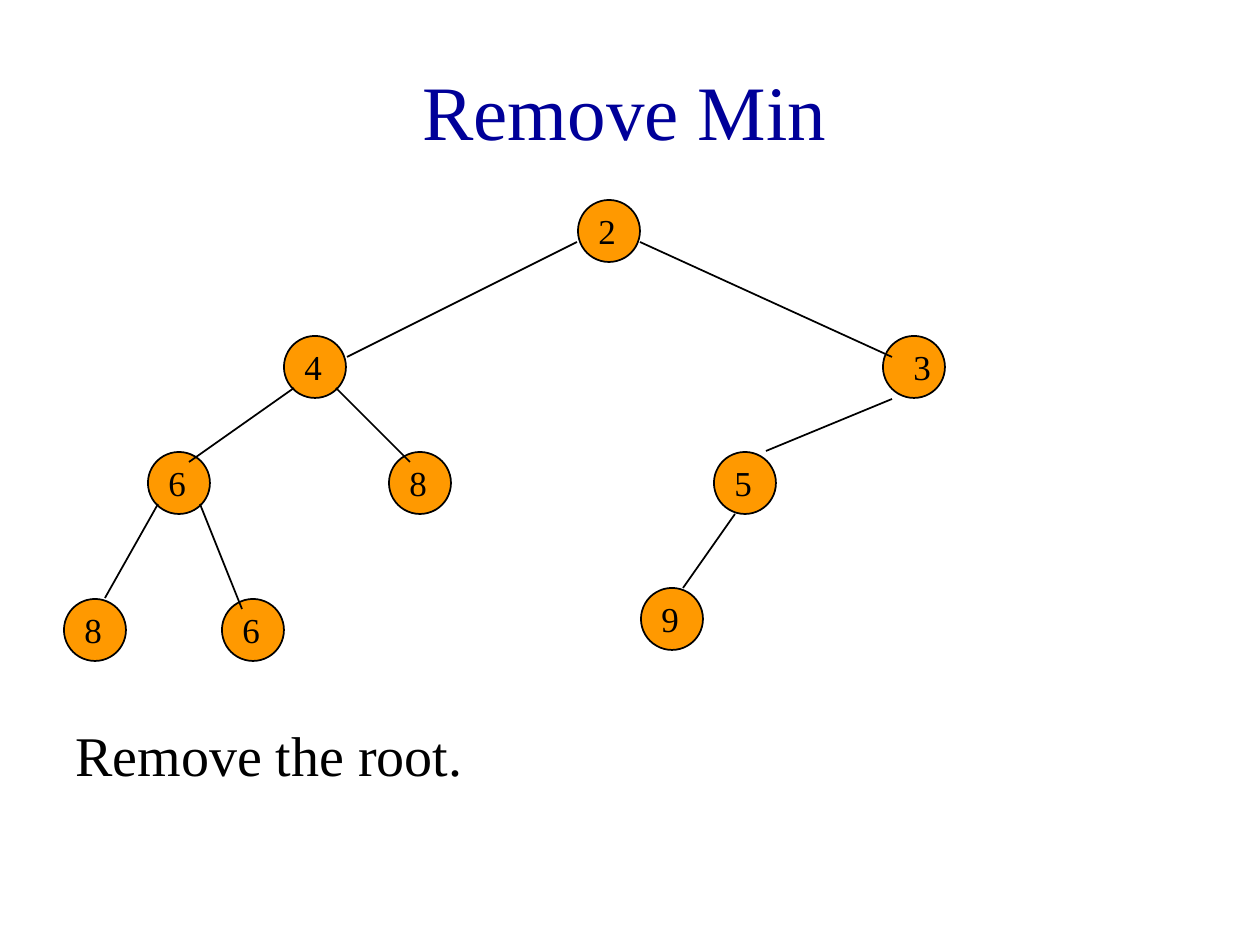
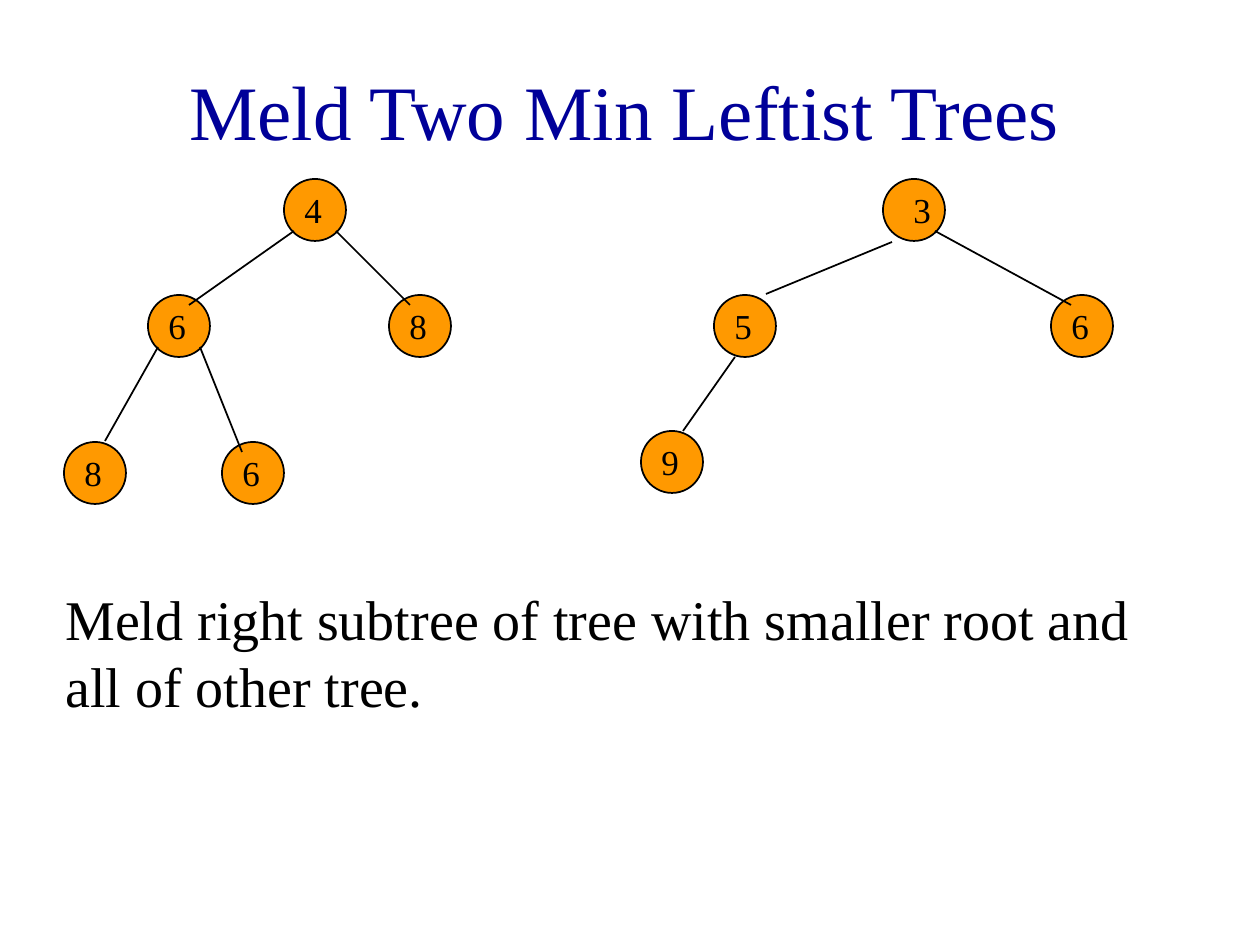
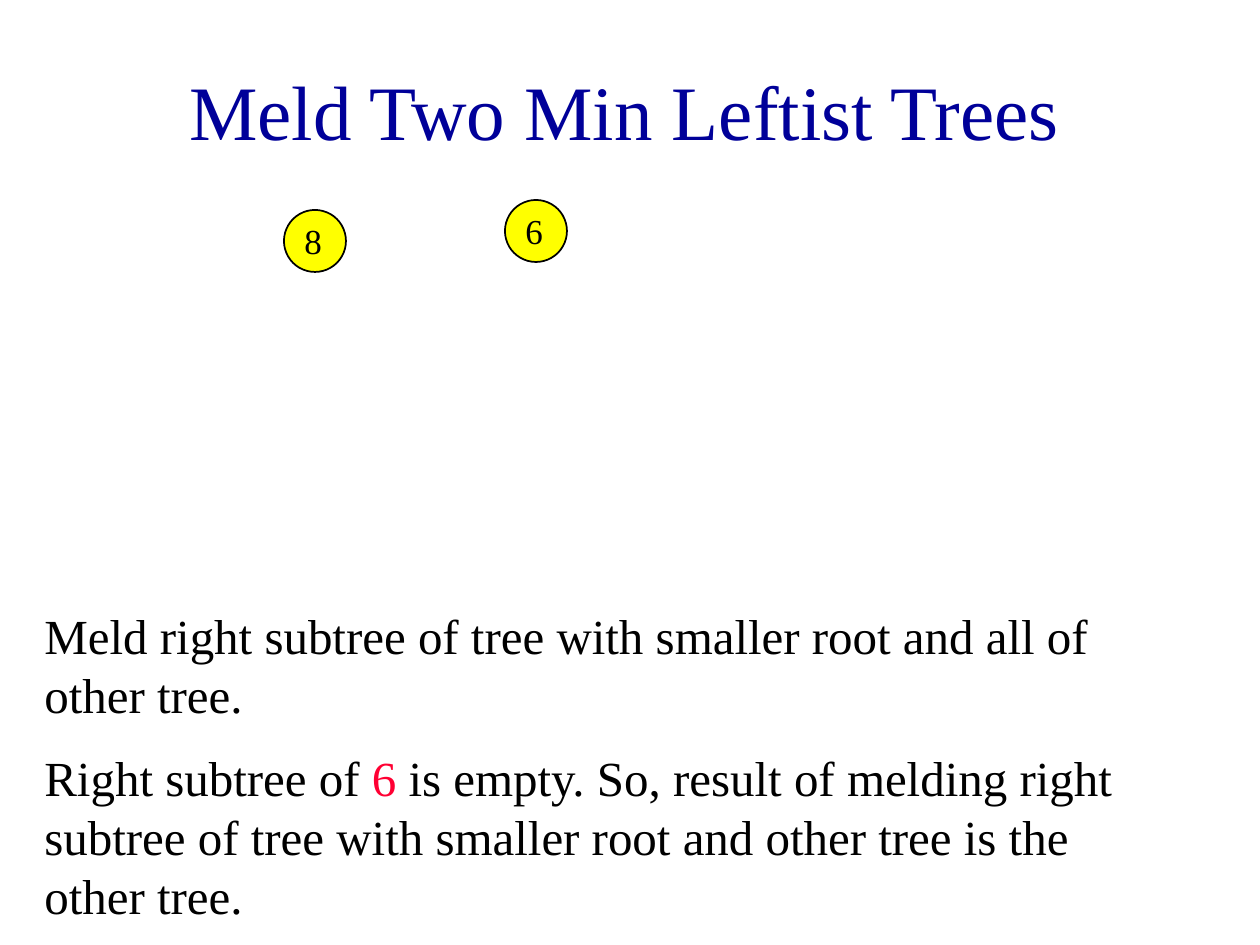
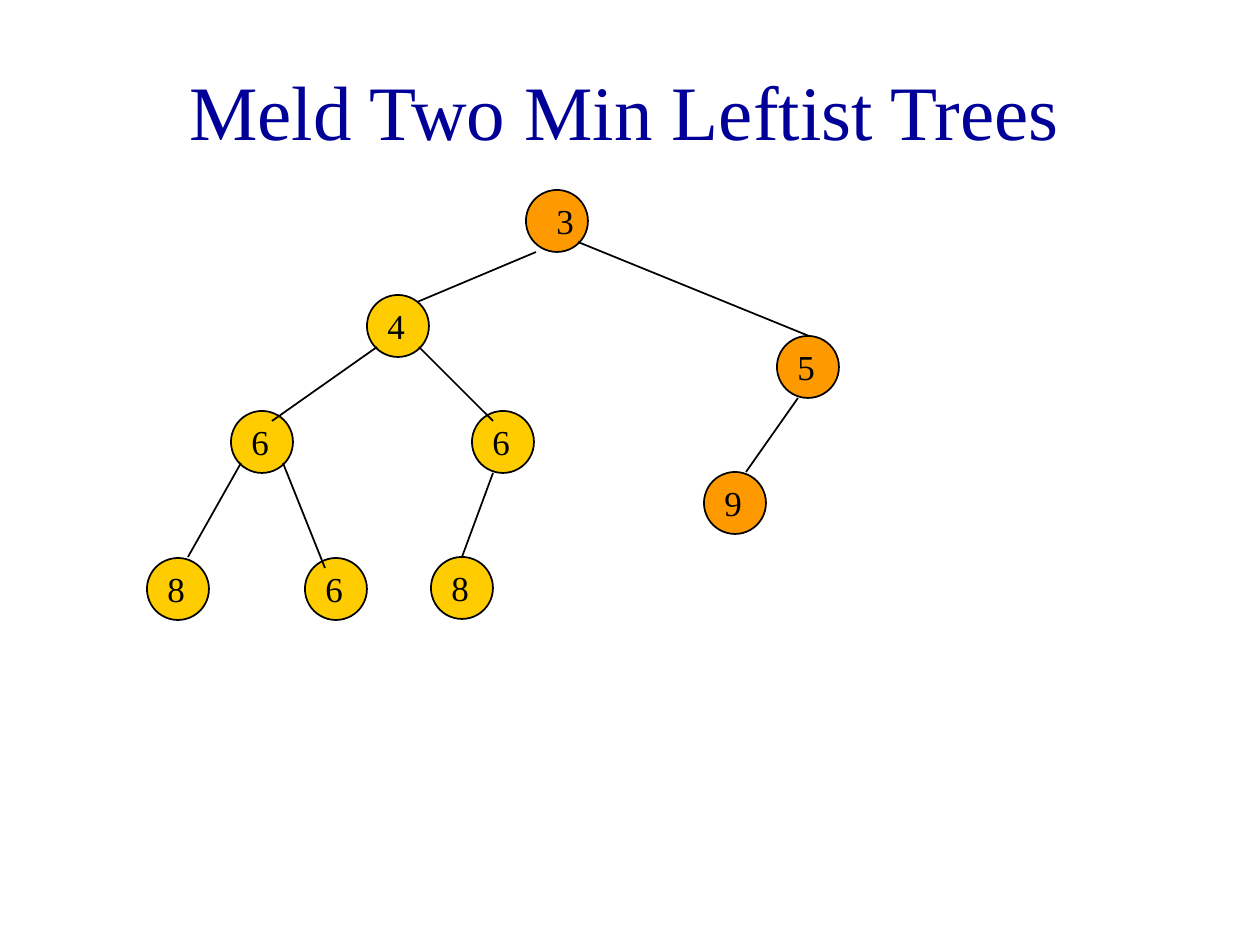
import dataclasses

import pptx
import pptx.dml.color
import pptx.enum.shapes
import pptx.enum.text
import pptx.oxml
import pptx.util

EMU_PER_PIXEL = 914400 / 126


@dataclasses.dataclass(frozen=True)
class Theme:
    """Colours, font and type sizes shared by all slides."""
    font: str = "Times New Roman"
    title: str = "000099"
    ink: str = "000000"
    accent: str = "FF0033"
    orange: str = "FF9900"
    yellow: str = "FFFF00"
    gold: str = "FFCC00"
    title_size: int = 44
    body_size: int = 32
    small_body_size: int = 28
    label_size: int = 20
    line_width: int = 1


@dataclasses.dataclass(frozen=True)
class Node:
    """A tree node: its value, the corner of its circle and its label inset."""
    value: str
    left: int
    top: int
    label_inset: int = 8


@dataclasses.dataclass(frozen=True)
class Tree:
    """Nodes and edges (x1, y1, x2, y2), measured from the tree's corner."""
    nodes: tuple
    edges: tuple = ()


THEME = Theme()
NODE_SIZE = 62
LABEL_SIZE = (43, 54)
LABEL_TOP = 3
WIDE_INSET = 18
SLIDE_SIZE = (1260, 945)
TITLE_BOX = (10, 31, 1229, 158)
MELD_TITLE = "Meld Two Min Leftist Trees"
MELD_RULE = ("Meld right subtree of tree with smaller root "
             "and all of other tree.")

CHAIN_TREE = Tree(
    (Node("5", 73, 0), Node("9", 0, 136)),
    ((94, 62, 42, 136),))
CHAIN_PARENT = Tree((Node("3", 242, 0, WIDE_INSET),), ((251, 63, 125, 115),))
CHAIN_DROP = 116


def four_tree(right_value):
    """Return the tree rooted at 4, with the given value as right child."""
    return Tree(
        (Node("4", 220, 0), Node("6", 84, 116), Node(right_value, 325, 116),
         Node("8", 0, 263), Node("6", 158, 263)),
        ((230, 52, 125, 126), (272, 52, 346, 126),
         (94, 168, 41, 262), (136, 168, 178, 273)))


def pixels(length):
    """Turn picture pixels into EMU."""
    return pptx.util.Emu(round(length * EMU_PER_PIXEL))


def color(value):
    """Turn a hex string into a colour."""
    return pptx.dml.color.RGBColor.from_string(value)


def add_run(paragraph, text, size, ink):
    """Append one formatted run."""
    run = paragraph.add_run()
    run.text = text
    run.font.name = THEME.font
    run.font.size = pptx.util.Pt(size)
    run.font.color.rgb = color(ink)


def add_text_box(slide, box, wrap=True):
    """Add an empty text box and return its text frame."""
    frame = slide.shapes.add_textbox(*map(pixels, box)).text_frame
    frame.word_wrap = wrap
    frame.auto_size = pptx.enum.text.MSO_AUTO_SIZE.SHAPE_TO_FIT_TEXT
    return frame


def add_title(slide, box, text):
    """Place the centred slide title."""
    frame = add_text_box(slide, box)
    frame.auto_size = pptx.enum.text.MSO_AUTO_SIZE.NONE
    frame.vertical_anchor = pptx.enum.text.MSO_ANCHOR.MIDDLE
    paragraph = frame.paragraphs[0]
    paragraph.alignment = pptx.enum.text.PP_ALIGN.CENTER
    add_run(paragraph, text, THEME.title_size, THEME.title)


def add_body(slide, box, paragraphs, size):
    """Place body paragraphs, each a list of (text, colour) runs."""
    frame = add_text_box(slide, box)
    for index, runs in enumerate(paragraphs):
        paragraph = frame.add_paragraph() if index else frame.paragraphs[0]
        paragraph.space_before = pptx.util.Pt(size / 2)
        for text, ink in runs:
            add_run(paragraph, text, size, ink)


def add_circle(slide, left, top, fill):
    """Place the circle of one node."""
    circle = slide.shapes.add_shape(
        pptx.enum.shapes.MSO_SHAPE.OVAL,
        *map(pixels, (left, top, NODE_SIZE, NODE_SIZE)))
    circle.shadow.inherit = False
    circle.fill.solid()
    circle.fill.fore_color.rgb = color(fill)
    circle.line.color.rgb = color(THEME.ink)
    circle.line.width = pptx.util.Pt(THEME.line_width)


def add_edge(slide, left, top, edge):
    """Place one edge, measured from the given corner."""
    x1, y1, x2, y2 = edge
    connector = slide.shapes.add_connector(
        pptx.enum.shapes.MSO_CONNECTOR.STRAIGHT,
        *map(pixels, (left + x1, top + y1, left + x2, top + y2)))
    connector.line.color.rgb = color(THEME.ink)
    connector.line.width = pptx.util.Pt(THEME.line_width)
    properties = connector.line._get_or_add_ln().getparent()
    properties.append(pptx.oxml.parse_xml(
        '<a:effectLst xmlns:a='
        '"http://schemas.openxmlformats.org/drawingml/2006/main"/>'))


def add_tree(slide, left, top, tree, fill=THEME.orange):
    """Place a tree at a corner: circles, then edges, then labels."""
    for node in tree.nodes:
        add_circle(slide, left + node.left, top + node.top, fill)
    for edge in tree.edges:
        add_edge(slide, left, top, edge)
    for node in tree.nodes:
        box = (left + node.left + node.label_inset,
               top + node.top + LABEL_TOP, *LABEL_SIZE)
        frame = add_text_box(slide, box, wrap=False)
        add_run(frame.paragraphs[0], node.value, THEME.label_size, THEME.ink)


def add_both_subtrees(slide, top):
    """Place the trees rooted at 4 and 3 side by side."""
    add_tree(slide, 64, top, four_tree("8"))
    add_tree(slide, 641, top, CHAIN_PARENT)
    add_tree(slide, 641, top + CHAIN_DROP, CHAIN_TREE)


def new_slide(presentation, title):
    """Add a blank slide with its title."""
    slide = presentation.slides.add_slide(presentation.slide_layouts[6])
    add_title(slide, TITLE_BOX, title)
    return slide


def build_remove_min(presentation):
    """Slide on removing the root of a tree."""
    slide = new_slide(presentation, "Remove Min")
    add_both_subtrees(slide, 336)
    add_tree(slide, 578, 200, Tree(
        (Node("2", 0, 0),), ((-1, 42, -231, 157), (62, 42, 314, 157))))
    add_body(slide, (63, 714, 998, 79),
             [[("Remove the root.", THEME.ink)]], THEME.body_size)


def build_meld_rule(presentation):
    """Slide stating the meld rule for two trees."""
    slide = new_slide(presentation, MELD_TITLE)
    add_both_subtrees(slide, 179)
    add_tree(slide, 1051, 295, Tree(
        (Node("6", 0, 0),), ((-116, -64, 20, 10),)))
    add_body(slide, (53, 578, 1103, 147),
             [[(MELD_RULE, THEME.ink)]], THEME.body_size)


def build_meld_leaves(presentation):
    """Slide on melding two single nodes."""
    slide = new_slide(presentation, MELD_TITLE)
    add_tree(slide, 284, 210, Tree((Node("8", 0, 0),)), THEME.yellow)
    add_tree(slide, 505, 200, Tree((Node("6", 0, 0),)), THEME.yellow)
    add_body(slide, (32, 599, 1103, 336), [
        [(MELD_RULE, THEME.ink)],
        [("Right subtree of ", THEME.ink), ("6", THEME.accent),
         (" is empty. So, result of melding right subtree of tree with "
          "smaller root and other tree is the other tree.", THEME.ink)],
    ], THEME.small_body_size)


def build_meld_result(presentation):
    """Slide showing the melded tree."""
    slide = new_slide(presentation, MELD_TITLE)
    add_tree(slide, 526, 190, Tree(
        (Node("3", 0, 0, WIDE_INSET),), ((10, 62, -116, 115),)))
    add_tree(slide, 704, 336, CHAIN_TREE)
    add_tree(slide, 147, 295, four_tree("6"), THEME.gold)
    add_tree(slide, 431, 557, Tree(
        (Node("8", 0, 0),), ((62, -84, 31, 0),)), THEME.gold)
    add_edge(slide, 526, 190, (52, 52, 283, 146))


def main():
    """Build and save the presentation."""
    presentation = pptx.Presentation()
    presentation.slide_width, presentation.slide_height = map(
        pixels, SLIDE_SIZE)
    for build in (build_remove_min, build_meld_rule,
                  build_meld_leaves, build_meld_result):
        build(presentation)
    presentation.save("out.pptx")


main()
